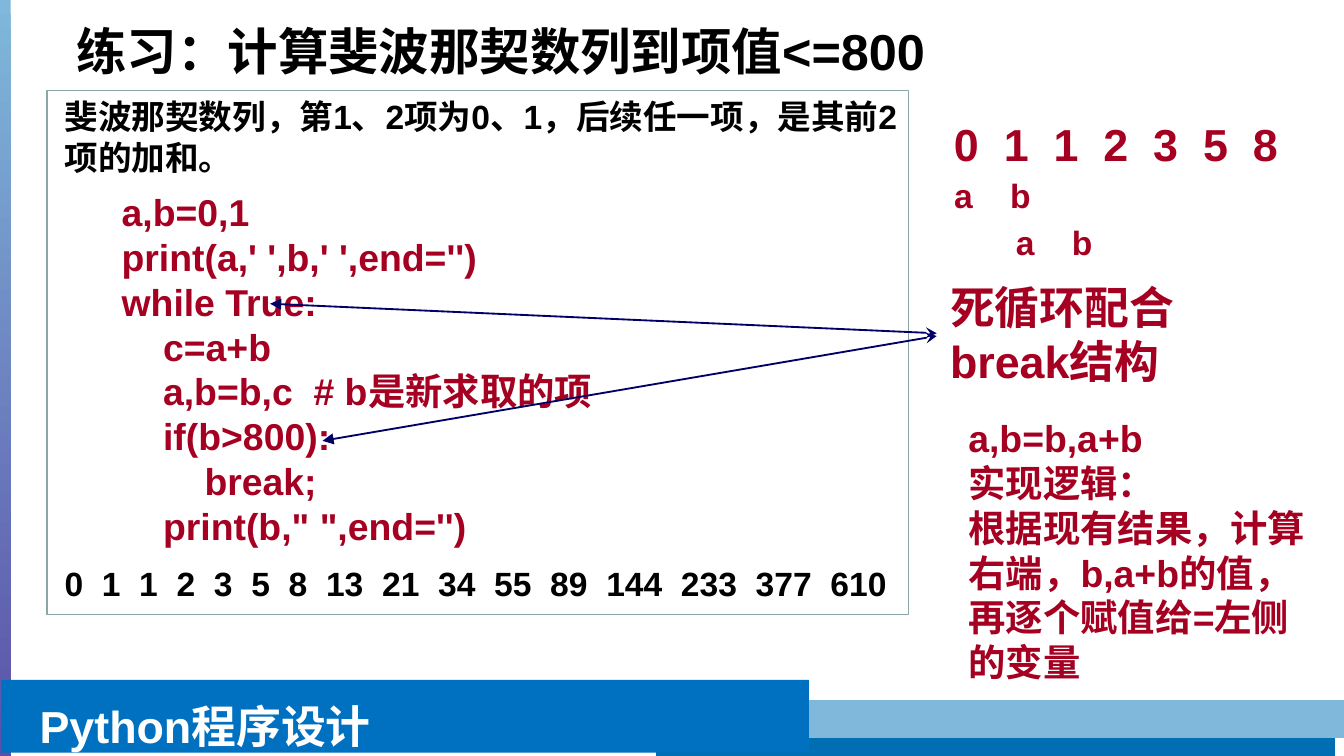
from dataclasses import dataclass
from itertools import accumulate
from typing import NamedTuple, Optional

from lxml.etree import SubElement
from pptx import Presentation
from pptx.dml.color import RGBColor
from pptx.enum.shapes import MSO_CONNECTOR as Connector, MSO_SHAPE as Shape
from pptx.enum.text import MSO_ANCHOR as Anchor, PP_ALIGN as Align
from pptx.oxml.ns import qn
from pptx.util import Inches, Pt

CELL = 0.1  # inches per grid column and row
COLUMNS, ROWS = 100, 56.25
DIGIT_EM = 0.556  # width of a bold digit, also of two spaces


@dataclass(frozen=True)
class Theme:
    latin: str = "Arial"
    cjk: str = "Noto Sans CJK JP"
    ink: str = "000000"
    accent: str = "A50021"
    paper: str = "FFFFFF"
    frame: str = "8AA6A8"
    arrow: str = "000066"
    banner: str = "0070C0"
    deep: str = "006EB2"
    sky: str = "7FB8DA"
    violet: str = "4E2E96"
    title: int = 27
    large: int = 24
    code: int = 20
    body: int = 18


THEME = Theme()


class Area(NamedTuple):
    """Left, top, width and height in grid cells."""
    left: float
    top: float
    width: float
    height: float


class Insets(NamedTuple):
    left: float = 1
    top: float = 0.5
    right: float = 1
    bottom: float = 0.5


class Stroke(NamedTuple):
    start: tuple[float, float]
    end: tuple[float, float]
    color: str
    width: float
    arrowheads: bool = False


class Note(NamedTuple):
    area: Area
    lines: list[str]
    size: int
    color: str = THEME.accent
    insets: Insets = Insets()
    tabs: tuple[float, ...] = ()
    anchor: Anchor = Anchor.TOP
    spacing: Optional[float] = None


INDENTED = Insets(left=1.55)
TIGHT = Insets(0.7, 0.4, 0.7, 0.4)

FIBONACCI = "0 1 1 2 3 5 8 13 21 34 55 89 144 233 377 610".split()
OPENING = FIBONACCI[:7]

CODE = """\
a,b=0,1
print(a,' ',b,' ',end='')
while True:
    c=a+b
    a,b=b,c  # b是新求取的项
    if(b>800):
        break;
    print(b," ",end='')""".split("\n")


def cells(count: float) -> int:
    return Inches(count * CELL)


def rgb(color: str) -> RGBColor:
    return RGBColor.from_string(color)


def term_tabs(terms: list[str], size: int) -> tuple[float, ...]:
    """Tab stops in points that leave one digit's width after each term."""
    return tuple(accumulate((len(term) + 1) * DIGIT_EM * size for term in terms[:-1]))


def set_tabs(paragraph, stops: tuple[float, ...]) -> None:
    tab_list = SubElement(paragraph._p.get_or_add_pPr(), qn("a:tabLst"))
    for stop in stops:
        SubElement(tab_list, qn("a:tab"), pos=str(Pt(stop)), algn="l")


def style_runs(paragraph, size: int, color: str) -> None:
    for run in paragraph.runs:
        font = run.font
        font.name, font.size, font.bold = THEME.latin, Pt(size), True
        font.color.rgb = rgb(color)


def set_frame(frame, insets: Insets, anchor: Anchor = Anchor.TOP) -> None:
    frame.word_wrap = True
    frame.vertical_anchor = anchor
    frame.margin_left, frame.margin_top, frame.margin_right, frame.margin_bottom = map(cells, insets)


def add_panel(slide, area: Area, fill: Optional[str] = None, outline: Optional[str] = None):
    panel = slide.shapes.add_shape(Shape.RECTANGLE, *map(cells, area))
    panel.shadow.inherit = False
    if fill:
        panel.fill.solid()
        panel.fill.fore_color.rgb = rgb(fill)
    if outline:
        panel.line.color.rgb = rgb(outline)
        panel.line.width = Pt(0.75)
    else:
        panel.line.fill.background()
    return panel


def add_stroke(slide, stroke: Stroke) -> None:
    line = slide.shapes.add_connector(Connector.STRAIGHT, *map(cells, stroke.start + stroke.end))
    line.line.color.rgb = rgb(stroke.color)
    line.line.width = Pt(stroke.width)
    properties = line.element.spPr
    if stroke.arrowheads:
        outline = properties.find(qn("a:ln"))
        SubElement(outline, qn("a:headEnd"), type="stealth")
        SubElement(outline, qn("a:tailEnd"), type="triangle")
    SubElement(properties, qn("a:effectLst"))


def add_note(slide, note: Note) -> None:
    frame = slide.shapes.add_textbox(*map(cells, note.area)).text_frame
    set_frame(frame, note.insets, note.anchor)
    frame.text = "\n".join(note.lines)
    for paragraph in frame.paragraphs:
        if note.tabs:
            set_tabs(paragraph, note.tabs)
        if note.spacing:
            paragraph.line_spacing = note.spacing
        style_runs(paragraph, note.size, note.color)


def add_decoration(slide) -> None:
    side_bar = add_panel(slide, Area(-0.2, 0, 1, 74.5))
    side_bar.fill.gradient()
    side_bar.fill.gradient_angle = 270
    for stop, color in zip(side_bar.fill.gradient_stops, (THEME.sky, THEME.violet)):
        stop.color.rgb = rgb(color)
    add_stroke(slide, Stroke((48.8, 55.4), (99.3, 55.4), THEME.deep, 16))
    add_stroke(slide, Stroke((47.4, 53.5), (100.4, 53.5), THEME.sky, 20))

    course = add_panel(slide, Area(0.1, 50.6, 60.1, 5.4), THEME.banner).text_frame
    set_frame(course, Insets(left=2.85, top=0, bottom=0), Anchor.BOTTOM)
    paragraph = course.paragraphs[0]
    paragraph.alignment = Align.LEFT
    for words in ("Python", "程序设计"):
        paragraph.add_run().text = words
    style_runs(paragraph, THEME.large, THEME.paper)
    paragraph.runs[1].font.name = THEME.cjk


def add_exercise(slide) -> None:
    frame = add_panel(slide, Area(3.5, 6.75, 64.1, 39), THEME.paper, THEME.frame).text_frame
    set_frame(frame, TIGHT._replace(left=1.3))
    frame.text = "斐波那契数列，第1、2项为0、1，后续任一项，是其前2项的加和。\n" + "\t".join(FIBONACCI)
    output = frame.paragraphs[1]
    set_tabs(output, term_tabs(FIBONACCI, THEME.body))
    output.space_before = Pt(207)
    for paragraph in frame.paragraphs:
        paragraph.alignment = Align.LEFT
        style_runs(paragraph, THEME.body, THEME.ink)


def main() -> None:
    deck = Presentation()
    deck.slide_width, deck.slide_height = cells(COLUMNS), cells(ROWS)
    slide = deck.slides.add_slide(deck.slide_layouts[6])

    add_decoration(slide)
    add_note(slide, Note(Area(5, 1.4, 76.6, 5.1), ["练习：计算斐波那契数列到项值<=800"], THEME.title,
                         THEME.ink, TIGHT, anchor=Anchor.BOTTOM, spacing=0.95))
    add_exercise(slide)
    add_note(slide, Note(Area(7.5, 13.6, 60.2, 27.9), CODE, THEME.code, insets=INDENTED))
    add_note(slide, Note(Area(69.7, 20.3, 22.1, 9.1), ["死循环配合break结构"], THEME.large))
    for start, end in (((69.7, 25), (24, 32.8)), ((69.7, 24.8), (20.1, 22.6))):
        add_stroke(slide, Stroke(start, end, THEME.arrow, 1, arrowheads=True))

    add_note(slide, Note(Area(70, 8.2, 27.6, 5.2), ["\t".join(OPENING)], THEME.large,
                         tabs=term_tabs(OPENING, THEME.large)))
    pair_tab = (3 * DIGIT_EM * THEME.body,)
    for left, top in ((70, 12.5), (74.6, 16)):
        add_note(slide, Note(Area(left, top, 9.1, 4), ["a\tb"], THEME.body, tabs=pair_tab))
    logic = ["a,b=b,a+b", "实现逻辑：", "根据现有结果，计算右端，b,a+b的值，再逐个赋值给=左侧的变量"]
    add_note(slide, Note(Area(70.5, 30.4, 28.3, 21.2), logic, THEME.code, insets=INDENTED))

    deck.save("out.pptx")


if __name__ == "__main__":
    main()
